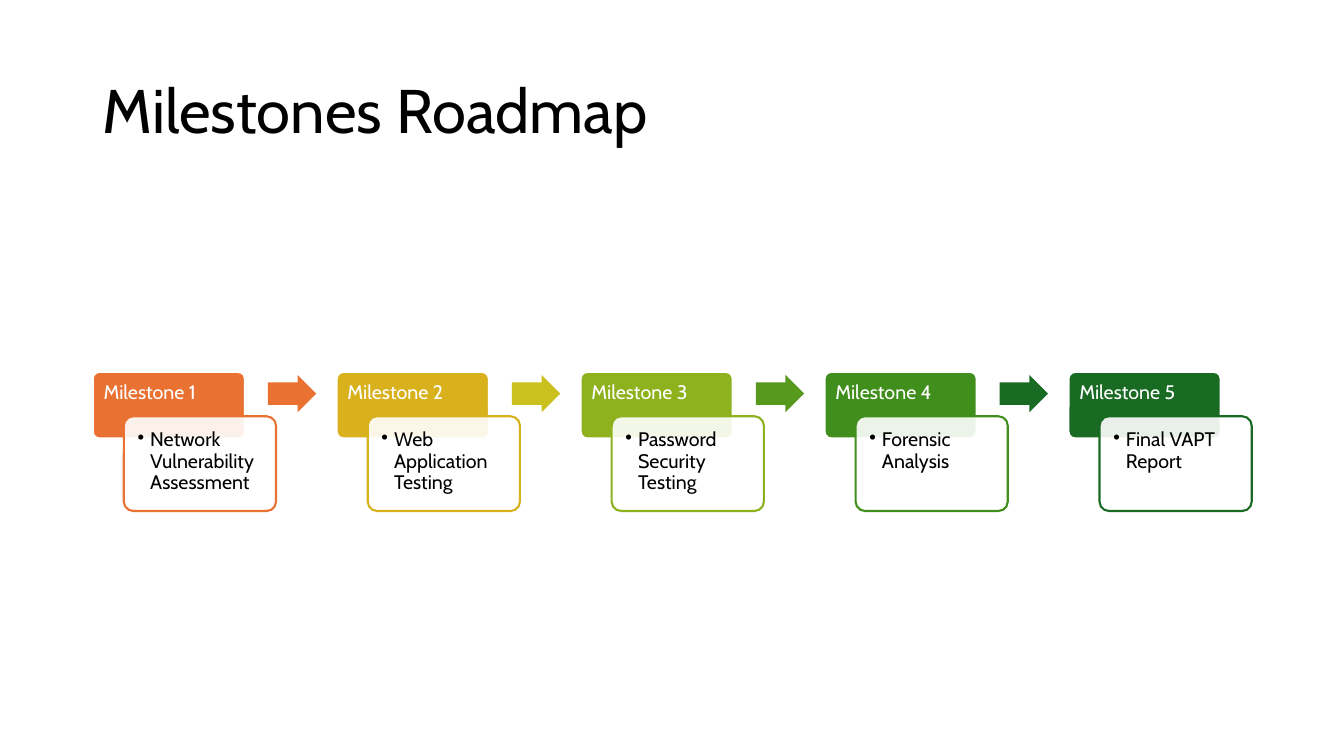
from dataclasses import dataclass

from lxml.etree import SubElement
from pptx import Presentation
from pptx.dml.color import RGBColor
from pptx.enum.shapes import MSO_SHAPE as Preset
from pptx.enum.text import MSO_ANCHOR as Anchor
from pptx.oxml.ns import qn
from pptx.util import Pt

FONT = "Cabin"
WHITE, BLACK = "FFFFFF", "000000"
FIRST_LEFT, PITCH = 66.24, 174.24
HEADER_TOP, CARD_TOP, ARROW_TOP = 265.68, 297.36, 267.84
BOX_WIDTH = 108.72
CARD_SHIFT, ARROW_SHIFT = 22.2, 125.1
CARD_INSET = 2.1
PADDING = 7.7
BULLET_INDENT = 9


@dataclass
class Box:
    left: float
    top: float
    width: float
    height: float

    def lengths(self) -> tuple:
        return Pt(self.left), Pt(self.top), Pt(self.width), Pt(self.height)


@dataclass
class Milestone:
    name: str
    task: str
    color: str
    arrow_color: str = ""


MILESTONES = [
    Milestone("Milestone 1", "Network Vulnerability Assessment", "E97132", "E97132"),
    Milestone("Milestone 2", "Web Application Testing", "D8B11D", "CBC11E"),
    Milestone("Milestone 3", "Password Security Testing", "8EB21E", "56991D"),
    Milestone("Milestone 4", "Forensic Analysis", "408E1C", "196B24"),
    Milestone("Milestone 5", "Final VAPT Report", "196B24"),
]


def rgb(color: str) -> RGBColor:
    return RGBColor.from_string(color)


def add_preset(slide, preset, box: Box, adjustments: list, fill: str, line: str = ""):
    sp = slide.shapes.add_shape(preset, *box.lengths())
    sp.shadow.inherit = False
    for i, value in enumerate(adjustments):
        sp.adjustments[i] = value
    sp.fill.solid()
    sp.fill.fore_color.rgb = rgb(fill)
    if line:
        sp.line.color.rgb = rgb(line)
        sp.line.width = Pt(1.5)
    else:
        sp.line.fill.background()
    return sp


def set_opacity(sp, percent: int) -> None:
    color = sp.fill._xPr.find(qn("a:solidFill"))[0]
    SubElement(color, qn("a:alpha"), val=str(percent * 1000))


def add_bullet(p) -> None:
    pPr = p._p.get_or_add_pPr()
    pPr.set("marL", str(Pt(BULLET_INDENT)))
    pPr.set("indent", str(-Pt(BULLET_INDENT)))
    SubElement(pPr, qn("a:buChar"), char="•")


def add_text(slide, box: Box, text: str, size: float, color: str, margins: tuple,
             anchor=Anchor.TOP, bullet: bool = False) -> None:
    """Margins are left, top, right and bottom."""
    tf = slide.shapes.add_textbox(*box.lengths()).text_frame
    tf.word_wrap = True
    tf.vertical_anchor = anchor
    tf.margin_left, tf.margin_top, tf.margin_right, tf.margin_bottom = map(Pt, margins)
    p = tf.paragraphs[0]
    p.text = text
    if bullet:
        add_bullet(p)
    p.line_spacing = 0.9
    font = p.runs[0].font
    font.name, font.size = FONT, Pt(size)
    font.color.rgb = rgb(color)


def add_milestone(slide, left: float, milestone: Milestone) -> None:
    header = Box(left, HEADER_TOP, BOX_WIDTH, 47.52)
    add_preset(slide, Preset.ROUNDED_RECTANGLE, header, [0.1], milestone.color, WHITE)
    label = Box(left, HEADER_TOP, BOX_WIDTH, 31.68)
    add_text(slide, label, milestone.name, 14, WHITE, (PADDING, PADDING, PADDING, 4.1))

    card = Box(left + CARD_SHIFT, CARD_TOP, BOX_WIDTH, 67.68)
    sp = add_preset(slide, Preset.ROUNDED_RECTANGLE, card, [0.1], WHITE, milestone.color)
    set_opacity(sp, 90)
    task = Box(card.left + CARD_INSET, card.top + CARD_INSET,
               card.width - 2 * CARD_INSET, card.height - 2 * CARD_INSET)
    add_text(slide, task, milestone.task, 14, BLACK, (PADDING,) * 4, bullet=True)

    if milestone.arrow_color:
        arrow = Box(left + ARROW_SHIFT, ARROW_TOP, 34.56, 26.64)
        add_preset(slide, Preset.RIGHT_ARROW, arrow, [0.6, 0.5], milestone.arrow_color)


def main() -> None:
    prs = Presentation()
    prs.slide_width, prs.slide_height = Pt(960), Pt(540)
    slide = prs.slides.add_slide(prs.slide_layouts[6])
    add_text(slide, Box(66.24, 28.8, 828, 104.4), "Milestones Roadmap", 44, BLACK,
             (7.2, 3.6, 7.2, 3.6), Anchor.MIDDLE)
    for i, milestone in enumerate(MILESTONES):
        add_milestone(slide, FIRST_LEFT + i * PITCH, milestone)
    prs.save("out.pptx")


if __name__ == "__main__":
    main()
